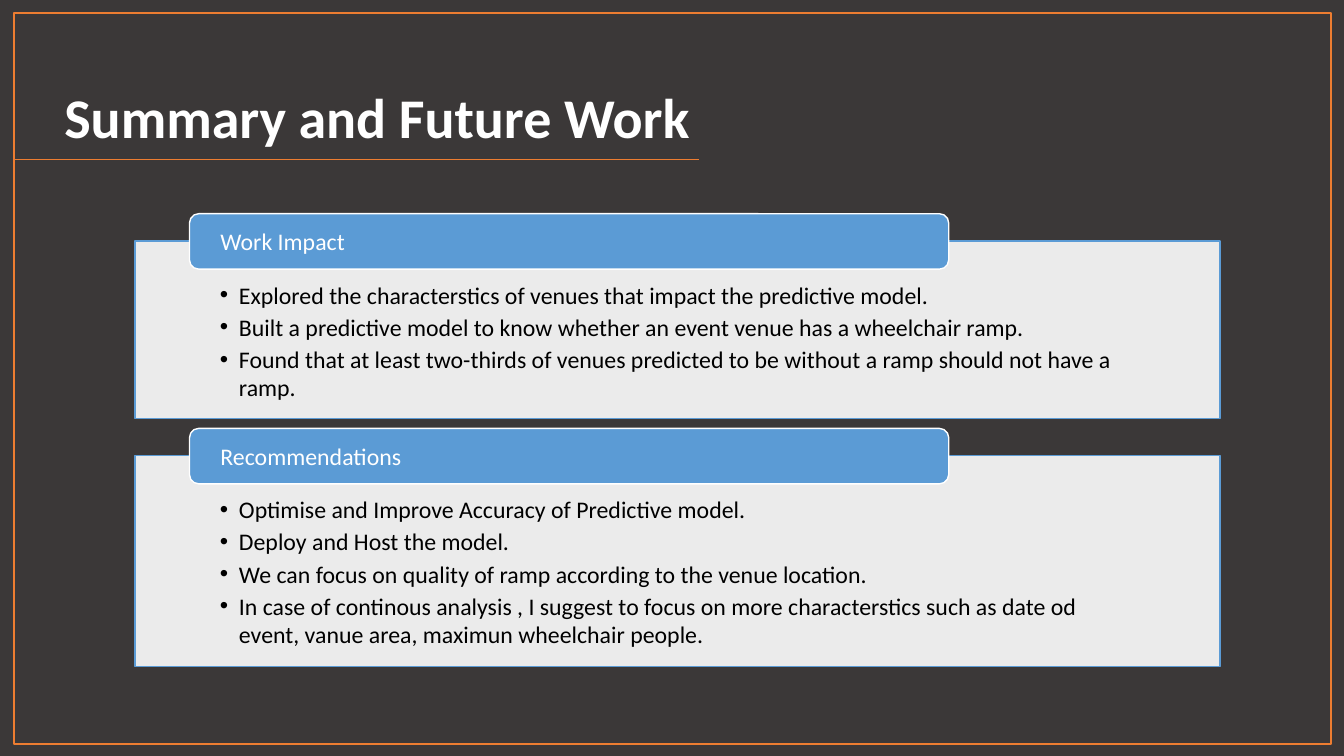
import pptx
import pptx.util
import pptx.dml.color
import pptx.enum.shapes
import pptx.enum.text
from lxml import etree
from pptx.oxml.ns import qn
from pptx.util import Inches, Pt

COLORS = {
    "background": "3B3838",
    "accent": "ED7D31",
    "header": "5B9BD5",
    "panel": "FFFFFF",
    "light_text": "FFFFFF",
    "dark_text": "000000",
}
FONT = "Calibri"
BODY_SIZE = 17
HEADER_HEIGHT = 0.55
HEADER_OVERLAP = 0.27

# Header text, top of the panel, height of the panel, bullet points
SECTIONS = [
    ("Work Impact", 2.39, 1.76, [
        "Explored the characterstics of venues that impact the predictive model.",
        "Built a predictive model to know whether an event venue has a wheelchair ramp.",
        "Found that at least two-thirds of venues predicted to be without a ramp "
        "should not have a ramp.",
    ]),
    ("Recommendations", 4.52, 2.09, [
        "Optimise and Improve Accuracy of Predictive model.",
        "Deploy and Host the model.",
        "We can focus on quality of ramp according to the venue location.",
        "In case of continous analysis , I suggest to focus on more characterstics "
        "such as date od event, vanue area, maximun wheelchair people.",
    ]),
]


def rgb(name):
    return pptx.dml.color.RGBColor.from_string(COLORS[name])


def style_font(paragraph, size, color, bold=False):
    for run in paragraph.runs:
        run.font.name = FONT
        run.font.size = Pt(size)
        run.font.bold = bold
        run.font.color.rgb = rgb(color)


def set_margins(text_frame, left, top, right, bottom):
    text_frame.margin_left, text_frame.margin_top = Inches(left), Inches(top)
    text_frame.margin_right, text_frame.margin_bottom = Inches(right), Inches(bottom)
    text_frame.word_wrap = True


def add_box(slide, kind, left, top, width, height, line, fill=None):
    shape = slide.shapes.add_shape(
        kind, Inches(left), Inches(top), Inches(width), Inches(height))
    shape.shadow.inherit = False
    if fill:
        shape.fill.solid()
        shape.fill.fore_color.rgb = rgb(fill)
    else:
        shape.fill.background()
    shape.line.color.rgb = rgb(line)
    shape.line.width = Pt(1)
    return shape


def set_opacity(shape, percent):
    color = shape.fill._xPr.find(qn("a:solidFill"))[0]
    etree.SubElement(color, qn("a:alpha"), val=str(percent * 1000))


def add_bullet(paragraph):
    properties = paragraph._p.get_or_add_pPr()
    properties.set("marL", str(Inches(0.19)))
    properties.set("indent", str(-Inches(0.19)))
    etree.SubElement(properties, qn("a:buFont"), typeface="Arial")
    etree.SubElement(properties, qn("a:buChar"), char="•")


def add_title(slide, text):
    title = slide.shapes.title
    title.left, title.top = Inches(0.29), Inches(0.42)
    title.width, title.height = Inches(6.65), Inches(1.12)
    title.text_frame.text = text
    title.text_frame.word_wrap = True
    title.text_frame.vertical_anchor = pptx.enum.text.MSO_ANCHOR.BOTTOM
    paragraph = title.text_frame.paragraphs[0]
    paragraph.alignment = pptx.enum.text.PP_ALIGN.RIGHT
    paragraph.line_spacing = 0.9
    style_font(paragraph, 40, "light_text", bold=True)


def add_title_rule(slide):
    rule = slide.shapes.add_connector(
        pptx.enum.shapes.MSO_CONNECTOR.STRAIGHT,
        Inches(6.93), Inches(1.58), Inches(0.14), Inches(1.58))
    rule.line.color.rgb = rgb("accent")
    rule.line.width = Pt(1)
    etree.SubElement(rule._element.spPr, qn("a:effectLst"))


def add_panel(slide, top, height, points):
    panel = add_box(slide, pptx.enum.shapes.MSO_SHAPE.RECTANGLE,
                    1.34, top, 10.76, height, "header", "panel")
    set_opacity(panel, 90)
    text_frame = panel.text_frame
    set_margins(text_frame, 0.84, 0.39, 0.84, 0.13)
    text_frame.vertical_anchor = pptx.enum.text.MSO_ANCHOR.TOP
    text_frame.text = "\n".join(points)
    for paragraph in text_frame.paragraphs:
        paragraph.alignment = pptx.enum.text.PP_ALIGN.LEFT
        paragraph.space_after = Pt(2.55)
        add_bullet(paragraph)
        style_font(paragraph, BODY_SIZE, "dark_text")


def add_header(slide, top, text):
    header = add_box(slide, pptx.enum.shapes.MSO_SHAPE.ROUNDED_RECTANGLE,
                     1.88, top, 7.53, HEADER_HEIGHT, "panel", "header")
    set_margins(header.text_frame, 0.28, 0, 0.28, 0)
    header.text_frame.vertical_anchor = pptx.enum.text.MSO_ANCHOR.MIDDLE
    header.text_frame.text = text
    paragraph = header.text_frame.paragraphs[0]
    paragraph.alignment = pptx.enum.text.PP_ALIGN.LEFT
    style_font(paragraph, BODY_SIZE, "light_text")


def main():
    presentation = pptx.Presentation()
    presentation.slide_width = Inches(13.33)
    presentation.slide_height = Inches(7.5)
    slide = presentation.slides.add_slide(presentation.slide_layouts[5])
    slide.background.fill.solid()
    slide.background.fill.fore_color.rgb = rgb("background")

    add_box(slide, pptx.enum.shapes.MSO_SHAPE.RECTANGLE,
            0.14, 0.13, 13.06, 7.25, "accent")
    add_title(slide, "Summary and Future Work")
    add_title_rule(slide)
    for heading, top, height, points in SECTIONS:
        add_panel(slide, top, height, points)
        add_header(slide, top - HEADER_OVERLAP, heading)

    presentation.save("out.pptx")


if __name__ == "__main__":
    main()
